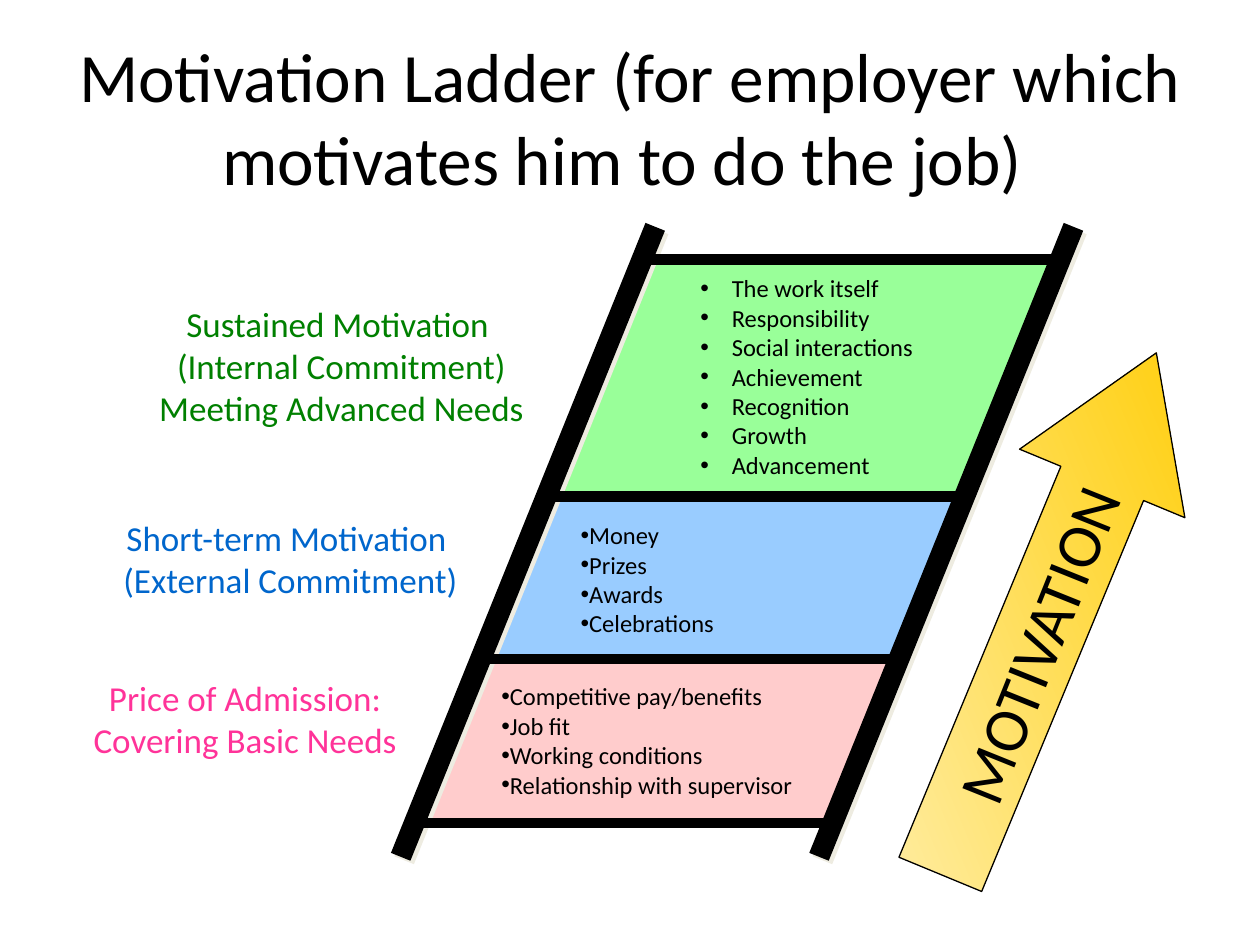
from lxml import etree
from pptx import Presentation
from pptx import util as u
from pptx.dml.color import RGBColor
from pptx.enum import shapes, text
from pptx.oxml.ns import qn

COLUMNS, ROWS = 10, 7.5
BLACK = "000000"


def color(value):
    """Turn a hex string into a colour."""
    return RGBColor.from_string(value)


class LadderPage:
    """Holds the style and the current slide, and draws on a 10 by 7.5 grid."""

    font = "Calibri"

    def __init__(self, deck):
        """Add a blank slide to the deck."""
        self.column = deck.slide_width / COLUMNS
        self.row = deck.slide_height / ROWS
        self.page = deck.slides.add_slide(deck.slide_layouts[6])

    def place(self, *lengths):
        """Turn alternating columns and rows into slide lengths."""
        return [u.Emu(round(length * (self.row if i % 2 else self.column)))
                for i, length in enumerate(lengths)]

    def words(self, place, lines, size, hue=BLACK, centered=True, wrap=True,
              anchor=text.MSO_ANCHOR.TOP, angle=0, bullet=None):
        """Add a text box; bullet is a (margin, indent) pair in columns."""
        box = self.page.shapes.add_textbox(*self.place(*place))
        box.rotation = angle
        frame = box.text_frame
        frame.word_wrap = wrap
        frame.vertical_anchor = anchor
        for i, line in enumerate(lines):
            para = frame.paragraphs[0] if i == 0 else frame.add_paragraph()
            para.text = line
            para.alignment = text.PP_ALIGN.CENTER if centered else text.PP_ALIGN.LEFT
            if bullet:
                self.bullet(para, *bullet)
            para.font.name = self.font
            para.font.size = u.Pt(size)
            para.font.color.rgb = color(hue)

    def bullet(self, para, margin, indent):
        """Give a paragraph a round bullet."""
        props = para._p.get_or_add_pPr()
        props.set("marL", str(round(margin * self.column)))
        props.set("indent", str(round(indent * self.column)))
        etree.SubElement(props, qn("a:buFont"), typeface="Arial")
        etree.SubElement(props, qn("a:buChar"), char="•")

    def bar(self, ends, width, shade=None):
        """Add a straight black bar, with a shadow if a shade is given."""
        line = self.page.shapes.add_connector(
            shapes.MSO_CONNECTOR.STRAIGHT, *self.place(*ends))
        line.line.width = u.Pt(width)
        line.line.color.rgb = color(BLACK)
        effects = etree.SubElement(line._element.spPr, qn("a:effectLst"))
        if shade:
            shadow = etree.SubElement(effects, qn("a:outerShdw"), dist=str(u.Pt(2.8)),
                                      dir=str(45 * 60000), algn="ctr", rotWithShape="0")
            etree.SubElement(shadow, qn("a:srgbClr"), val=shade)

    def band(self, corners, hue):
        """Add a filled four-cornered band."""
        start, *rest = [self.place(*corner) for corner in corners]
        outline = self.page.shapes.build_freeform(*start, scale=1.0)
        outline.add_line_segments(rest, close=True)
        shape = outline.convert_to_shape()
        shape.shadow.inherit = False
        shape.fill.solid()
        shape.fill.fore_color.rgb = color(hue)
        shape.line.fill.background()

    def arrow(self, place, angle, hues):
        """Add a tilted up arrow with a two-colour gradient."""
        shape = self.page.shapes.add_shape(shapes.MSO_SHAPE.UP_ARROW, *self.place(*place))
        shape.rotation = angle
        shape.adjustments[0], shape.adjustments[1] = 0.5, 0.79
        shape.shadow.inherit = False
        shape.fill.gradient()
        shape.fill.gradient_angle = 45
        for stop, hue in zip(shape.fill.gradient_stops, hues):
            stop.color.rgb = color(hue)
        shape.line.color.rgb = color(BLACK)
        shape.line.width = u.Pt(0.75)


BANDS = [
    ("99FF99", [(5.11, 2.04), (4.35, 3.93), (7.65, 3.93), (8.41, 2.06)]),
    ("99CCFF", [(4.34, 3.93), (3.84, 5.23), (7.11, 5.23), (7.63, 3.93)]),
    ("FFCCCC", [(3.83, 5.23), (3.31, 6.51), (6.62, 6.51), (7.13, 5.21)]),
]
RUNGS = [(5.17, 8.38, 2.06), (4.32, 7.59, 3.94), (3.81, 7.11, 5.23), (3.35, 6.6, 6.53)]
RAILS = [3.18, 6.5]
NEEDS = [
    ((3.88, 5.36, 3.08, 1.03), (0, 0),
     ["Competitive pay/benefits", "Job fit", "Working conditions",
      "Relationship with supervisor"]),
    ((4.51, 4.08, 2.34, 1.03), (0, 0), ["Money", "Prizes", "Awards", "Celebrations"]),
    ((5.21, 2.12, 2.34, 1.75), (0.5, -0.25),
     ["The work itself", "Responsibility", "Social interactions", "Achievement",
      "Recognition", "Growth", "Advancement"]),
]
LEVELS = [
    ((0.47, 5.32, 2.95, 0.77), "FF3399", ["Price of Admission:", "Covering Basic Needs"]),
    ((1.02, 2.35, 3.38, 1.1), "008000",
     ["Sustained Motivation ", "(Internal Commitment)", "Meeting Advanced Needs"]),
    ((0.78, 4.05, 3.05, 0.77), "0066CC",
     ["Short-term Motivation ", "(External Commitment)"]),
]


def main():
    """Build the motivation ladder slide."""
    deck = Presentation()
    deck.slide_width, deck.slide_height = u.Inches(10), u.Inches(7.5)
    ladder = LadderPage(deck)
    ladder.arrow((7.61, 2.63, 1.42, 4.48), 22.5, ["FFEEA9", "FFCC00"])
    for hue, corners in BANDS:
        ladder.band(corners, hue)
    ladder.words((0.5, 0.3, 9, 1.25),
                 ["Motivation Ladder (for employer which motivates him to do the job) "],
                 39.6, anchor=text.MSO_ANCHOR.MIDDLE)
    for foot in RAILS:
        ladder.bar((foot, 6.8, foot + 2.02, 1.8), 12, shade="EEECE1")
    for left, right, height in RUNGS:
        ladder.bar((left, height, right, height), 6)
    for place, bullet, lines in NEEDS:
        ladder.words(place, lines, 14, centered=False, bullet=bullet)
    for place, hue, lines in LEVELS:
        ladder.words(place, lines, 20, hue, wrap=False)
    ladder.words((5.66, 4.76, 5.14, 0.7), ["MOTIVATION"], 36, angle=291.9)
    deck.save("out.pptx")


if __name__ == "__main__":
    main()
